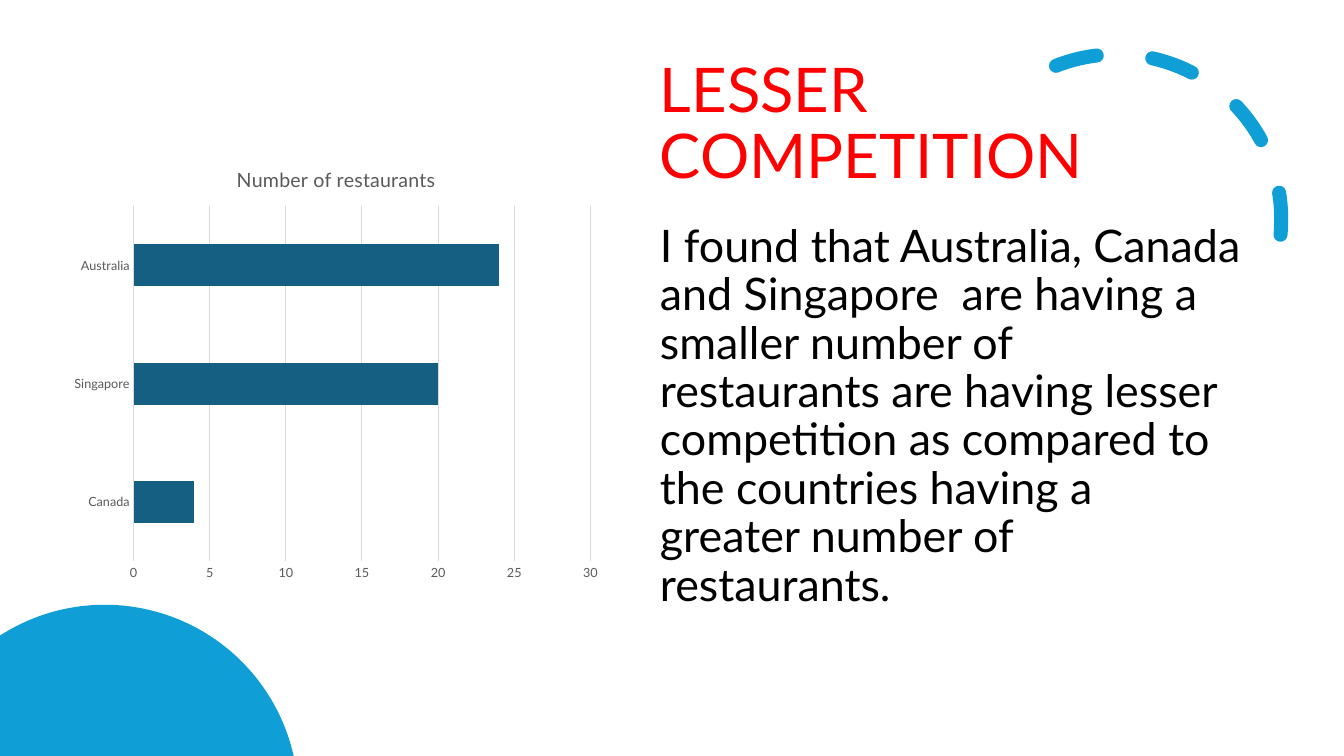
from math import acos, asin, cos, pi, sin

from lxml.etree import SubElement
from pptx import Presentation
from pptx.chart.data import CategoryChartData
from pptx.dml.color import RGBColor
from pptx.enum.chart import XL_CHART_TYPE as ChartType, XL_TICK_MARK as Tick
from pptx.enum.dml import MSO_LINE as Dash
from pptx.enum.shapes import MSO_SHAPE as Shape
from pptx.enum.text import MSO_ANCHOR as Anchor
from pptx.oxml.ns import qn
from pptx.util import Cm, Pt

HEADLINE = "LESSER COMPETITION"
FINDING = (
    "I found that Australia, Canada and Singapore  are having a smaller number of "
    "restaurants are having lesser competition as compared to the countries having "
    "a greater number of restaurants."
)
MEASURE = "Number of restaurants"
RESTAURANTS = {"Canada": 4, "Singapore": 20, "Australia": 24}

FONT = "Lato"
RED = RGBColor(0xFF, 0x00, 0x00)
BLACK = RGBColor(0x00, 0x00, 0x00)
SKY = RGBColor(0x0F, 0x9E, 0xD5)
TEAL = RGBColor(0x15, 0x60, 0x82)
GREY = RGBColor(0x59, 0x59, 0x59)
PALE = RGBColor(0xD9, 0xD9, 0xD9)

WIDTH, HEIGHT = 33.87, 19.05
TEXT_LEFT, TEXT_WIDTH = 16.38, 15.16
DISC_X, DISC_Y, DISC_RADIUS = 2.64, 20.12, 4.88
DISC_STEPS = 60


def style_font(font, size, color):
    font.name = FONT
    font.size = Pt(size)
    font.color.rgb = color
    font.bold = False


def add_text(slide, text, top, height, size, color, anchor, space_after):
    box = slide.shapes.add_textbox(Cm(TEXT_LEFT), Cm(top), Cm(TEXT_WIDTH), Cm(height))
    frame = box.text_frame
    frame.word_wrap = True
    frame.vertical_anchor = anchor
    paragraph = frame.paragraphs[0]
    paragraph.line_spacing = 0.9
    paragraph.space_after = Pt(space_after)
    run = paragraph.add_run()
    run.text = text
    style_font(run.font, size, color)


def add_dashed_arc(slide):
    arc = slide.shapes.add_shape(Shape.ARC, Cm(23.98), Cm(1.37), Cm(8.31), Cm(8.31))
    arc.adjustments[0] = 144.42
    arc.adjustments[1] = 0
    arc.rotation = 66.1
    arc._element.spPr.find(qn("a:xfrm")).set("flipH", "1")
    arc.shadow.inherit = False
    arc.fill.background()
    arc.line.color.rgb = SKY
    arc.line.width = Pt(10)
    arc.line.dash_style = Dash.DASH
    line = arc._element.spPr.find(qn("a:ln"))
    line.set("cap", "rnd")


def add_corner_disc(slide):
    start = acos(-DISC_X / DISC_RADIUS)
    end = asin((DISC_Y - HEIGHT) / DISC_RADIUS)
    angles = [start + (end - start) * i / DISC_STEPS for i in range(DISC_STEPS + 1)]
    rim = [
        (Cm(DISC_X + DISC_RADIUS * cos(a)), Cm(DISC_Y - DISC_RADIUS * sin(a)))
        for a in angles
    ]
    outline = slide.shapes.build_freeform(Cm(0), Cm(HEIGHT))
    outline.add_line_segments(rim, close=True)
    disc = outline.convert_to_shape()
    disc.shadow.inherit = False
    disc.fill.solid()
    disc.fill.fore_color.rgb = SKY
    disc.line.fill.background()


def add_restaurant_chart(slide):
    data = CategoryChartData()
    data.categories = list(RESTAURANTS)
    data.add_series(MEASURE, list(RESTAURANTS.values()))
    chart = slide.shapes.add_chart(
        ChartType.BAR_CLUSTERED, Cm(1.6), Cm(3.71), Cm(13.74), Cm(11.15), data
    ).chart
    style_font(chart.font, 10, BLACK)
    chart.has_legend = False
    chart.has_title = True
    title = chart.chart_title
    title.include_in_layout = False
    run = title.text_frame.paragraphs[0].add_run()
    run.text = MEASURE
    style_font(run.font, 14, GREY)

    plot = chart.plots[0]
    plot.gap_width = 182
    plot.vary_by_categories = False
    bars = plot.series[0].format.fill
    bars.solid()
    bars.fore_color.rgb = TEAL

    countries, counts = chart.category_axis, chart.value_axis
    for axis in (countries, counts):
        axis.major_tick_mark = axis.minor_tick_mark = Tick.NONE
        style_font(axis.tick_labels.font, 9, GREY)
    counts.minimum_scale, counts.maximum_scale, counts.major_unit = 0, 30, 5
    counts.has_major_gridlines = True
    counts.format.line.fill.background()
    for line in (countries.format.line, counts.major_gridlines.format.line):
        line.color.rgb = PALE
        line.width = Pt(0.75)


def main():
    deck = Presentation()
    deck.slide_width, deck.slide_height = Cm(WIDTH), Cm(HEIGHT)
    slide = deck.slides.add_slide(deck.slide_layouts[6])
    add_dashed_arc(slide)
    add_text(slide, HEADLINE, 1.32, 3.68, 44, RED, Anchor.MIDDLE, 0)
    add_corner_disc(slide)
    add_text(slide, FINDING, 5.51, 11.63, 32, BLACK, Anchor.TOP, 6)
    add_restaurant_chart(slide)
    deck.save("out.pptx")


if __name__ == "__main__":
    main()
